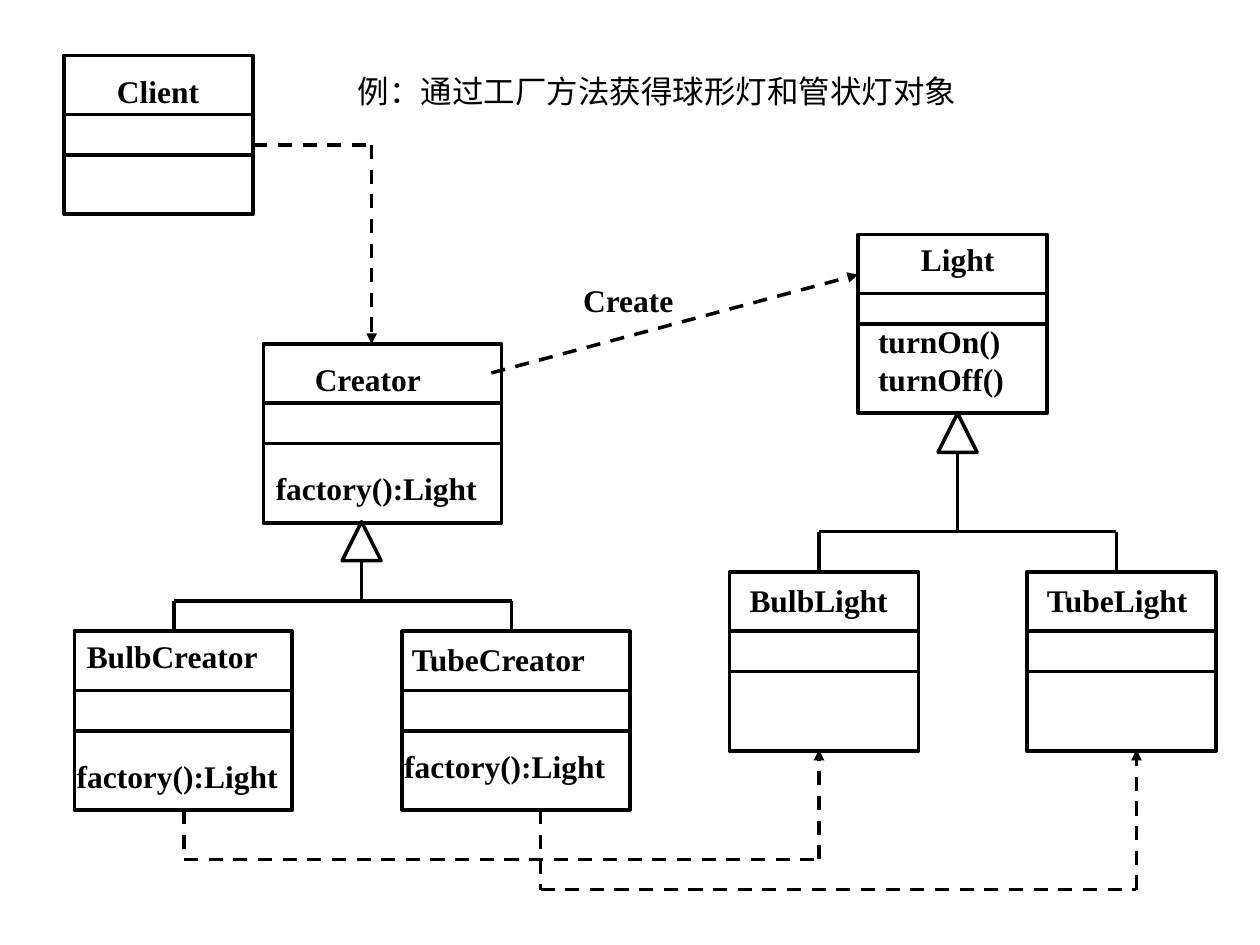
from lxml import etree
from pptx import Presentation
from pptx.dml.color import RGBColor
from pptx.enum.dml import MSO_LINE
from pptx.enum.shapes import MSO_CONNECTOR, MSO_SHAPE
from pptx.enum.text import MSO_ANCHOR, MSO_AUTO_SIZE, PP_ALIGN
from pptx.oxml.ns import qn
from pptx.util import Inches, Pt

DASH = MSO_LINE.DASH
STRAIGHT = MSO_CONNECTOR.STRAIGHT
RECTANGLE, TRIANGLE = MSO_SHAPE.RECTANGLE, MSO_SHAPE.ISOSCELES_TRIANGLE
TOP, LEFT, FIT = MSO_ANCHOR.TOP, PP_ALIGN.LEFT, MSO_AUTO_SIZE.SHAPE_TO_FIT_TEXT

THEME = {
    "ink": RGBColor(0, 0, 0),
    "paper": RGBColor(255, 255, 255),
    "line": Pt(2),
    "size": Pt(18),
    "title_font": "Arial",
    "label_font": "Times New Roman",
}

TITLE = ("例：通过工厂方法获得球形灯和管状灯对象", (2.74, 0.52, 5, 0.4))

# Class boxes: left, top, width, height, and depth of the second divider
NAME_DEPTH = 0.47
CLASSES = [
    (0.51, 0.44, 1.5, 1.26, 0.79),
    (2.09, 2.73, 1.89, 1.42, 0.79),
    (0.59, 5.01, 1.73, 1.42, 0.79),
    (3.19, 5.01, 1.81, 1.42, 0.79),
    (6.81, 1.86, 1.5, 1.42, 0.71),
    (5.79, 4.54, 1.5, 1.42, 0.79),
    (8.15, 4.54, 1.5, 1.42, 0.79),
]

# Labels: lines of text, then left, top, width
LABELS = [
    (["Client"], 0.83, 0.52, 0.87),
    (["Creator"], 2.4, 2.81, 1.06),
    (["factory():Light"], 2.09, 3.67, 1.82),
    (["BulbCreator"], 0.59, 5.01, 1.58),
    (["factory():Light"], 0.51, 5.96, 1.82),
    (["TubeCreator"], 3.17, 5.03, 1.62),
    (["factory():Light"], 3.11, 5.88, 1.82),
    (["Light"], 7.21, 1.86, 0.81),
    (["turnOn()", "turnOff()"], 6.87, 2.51, 1.22),
    (["BulbLight"], 5.85, 4.56, 1.32),
    (["TubeLight"], 8.21, 4.56, 1.36),
    (["Create"], 4.53, 2.18, 0.94),
]
LINE_HEIGHT, PADDING = 0.3, 0.1

# Inheritance: parent x, parent bottom, branch y, child top, child x values
INHERITANCES = [
    (2.87, 4.14, 4.77, 5.01, (1.38, 4.06)),
    (7.6, 3.28, 4.22, 4.54, (6.5, 8.86)),
]
ARROW_SIZE = 0.31

# Dependencies: corner points, with the arrowhead at the last one
DEPENDENCIES = [
    [(2.01, 1.15), (2.95, 1.15), (2.95, 2.73)],
    [(3.9, 2.96), (6.81, 2.18)],
    [(1.46, 6.43), (1.46, 6.82), (6.5, 6.82), (6.5, 5.95)],
    [(4.29, 6.43), (4.29, 7.06), (9.02, 7.06), (9.02, 5.95)],
]


def add_line(page, start, end, dashed=False, arrow=False):
    line = page.shapes.add_connector(STRAIGHT, *map(Inches, (*start, *end)))
    line.line.color.rgb = THEME["ink"]
    line.line.width = THEME["line"]
    if dashed:
        line.line.dash_style = DASH
    if arrow:
        outline = line.line._get_or_add_ln()
        etree.SubElement(outline, qn("a:tailEnd"), type="triangle")
    etree.SubElement(line._element.spPr, qn("a:effectLst"))


def add_outline(page, kind, bounds, filled=False):
    shape = page.shapes.add_shape(kind, *map(Inches, bounds))
    shape.shadow.inherit = False
    if filled:
        shape.fill.solid()
        shape.fill.fore_color.rgb = THEME["paper"]
    else:
        shape.fill.background()
    shape.line.color.rgb = THEME["ink"]
    shape.line.width = THEME["line"]


def write(box, lines, font_name, bold):
    frame = box.text_frame
    frame.text = "\n".join(lines)
    frame.word_wrap = False
    frame.auto_size = FIT
    frame.vertical_anchor = TOP
    for para in frame.paragraphs:
        para.alignment = LEFT
        para.font.name = font_name
        para.font.size = THEME["size"]
        para.font.bold = bold
        para.font.color.rgb = THEME["ink"]


def add_title(page):
    text, bounds = TITLE
    title = page.shapes.title
    title.left, title.top, title.width, title.height = map(Inches, bounds)
    write(title, [text], THEME["title_font"], False)


def add_class(page, left, top, width, height, attribute_depth):
    add_outline(page, RECTANGLE, (left, top, width, height))
    for depth in (NAME_DEPTH, attribute_depth):
        add_line(page, (left, top + depth), (left + width, top + depth))


def add_inheritance(page, parent_x, parent_bottom, branch_y, child_top, child_xs):
    add_line(page, (parent_x, parent_bottom + ARROW_SIZE), (parent_x, branch_y))
    add_line(page, (child_xs[0], branch_y), (child_xs[-1], branch_y))
    for x in child_xs:
        add_line(page, (x, branch_y), (x, child_top))
    bounds = (parent_x - ARROW_SIZE / 2, parent_bottom, ARROW_SIZE, ARROW_SIZE)
    add_outline(page, TRIANGLE, bounds, filled=True)


def add_dependency(page, points):
    for start, end in zip(points, points[1:]):
        add_line(page, start, end, dashed=True, arrow=end == points[-1])


def add_label(page, lines, left, top, width):
    height = len(lines) * LINE_HEIGHT + PADDING
    box = page.shapes.add_textbox(*map(Inches, (left, top, width, height)))
    write(box, lines, THEME["label_font"], True)


def main():
    deck = Presentation()
    deck.slide_width, deck.slide_height = Inches(10), Inches(7.5)
    page = deck.slides.add_slide(deck.slide_layouts.get_by_name("Title Only"))
    add_title(page)
    for item in CLASSES:
        add_class(page, *item)
    for item in INHERITANCES:
        add_inheritance(page, *item)
    for points in DEPENDENCIES:
        add_dependency(page, points)
    for item in LABELS:
        add_label(page, *item)
    deck.save("out.pptx")


if __name__ == "__main__":
    main()
